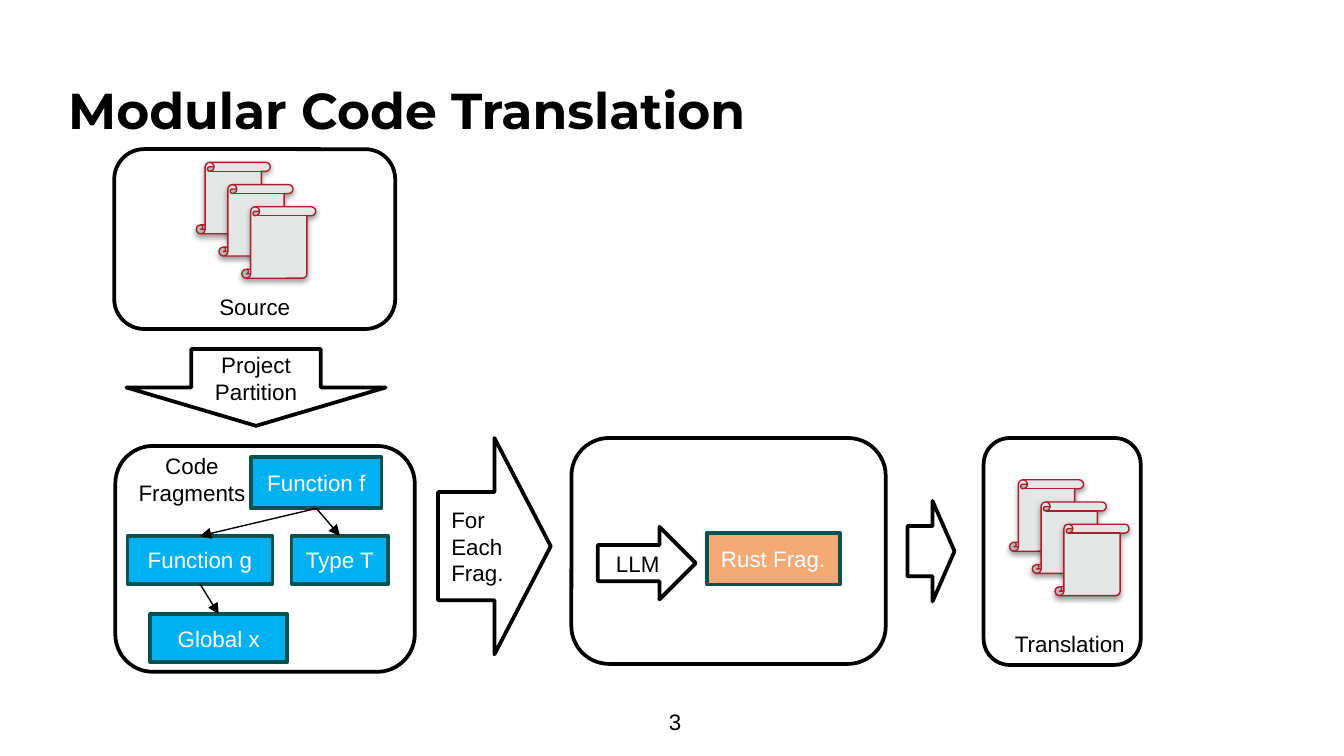
from lxml.etree import SubElement
from pptx import Presentation
from pptx.dml.color import RGBColor
from pptx.enum.shapes import MSO_CONNECTOR, MSO_SHAPE as Preset
from pptx.enum.text import MSO_ANCHOR as Anchor, PP_ALIGN as Align
from pptx.oxml.ns import qn
from pptx.util import Cm, Pt

BLACK, WHITE = "000000", "FFFFFF"
BLUE, ORANGE, TEAL = "00B0F0", "F5AA75", "00544F"
PAPER, RED = "E3E6E5", "AB1F2D"


def color(value):
    """Turn a hex string into a colour."""
    return RGBColor.from_string(value)


def write(shape, lines, ink=BLACK, align=Align.CENTER, anchor=Anchor.MIDDLE,
          size=12, font="Arial", bold=False):
    """Write one paragraph per line into a shape."""
    frame = shape.text_frame
    frame.word_wrap = True
    frame.vertical_anchor = anchor
    frame.text = "\n".join(lines)
    for paragraph in frame.paragraphs:
        paragraph.alignment = align
        paragraph.font.name = font
        paragraph.font.size = Pt(size)
        paragraph.font.bold = bold
        paragraph.font.color.rgb = color(ink)


def add_label(parent, box, text, anchor=Anchor.TOP, **style):
    """Add a text box and return it."""
    label = parent.shapes.add_textbox(*map(Cm, box))
    write(label, [text], anchor=anchor, **style)
    return label


def add_block(parent, preset, box, fill=WHITE, line=BLACK, width=2):
    """Add a filled, outlined preset shape."""
    shape = parent.shapes.add_shape(preset, *map(Cm, box))
    shape.shadow.inherit = False
    shape.fill.solid()
    shape.fill.fore_color.rgb = color(fill)
    shape.line.color.rgb = color(line)
    shape.line.width = Pt(width)
    return shape


def add_fragment(parent, box, text, fill=BLUE):
    """Add a rectangle that names a code fragment."""
    shape = add_block(parent, Preset.RECTANGLE, box, fill, TEAL)
    write(shape, [text], WHITE)
    return shape


def add_dependency(parent, user, used):
    """Draw an arrow from the bottom of one fragment to the top of another."""
    arrow = parent.shapes.add_connector(MSO_CONNECTOR.STRAIGHT, 0, 0, 0, 0)
    arrow.begin_connect(user, 2)
    arrow.end_connect(used, 0)
    arrow.line.color.rgb = color(BLACK)
    arrow.line.width = Pt(0.75)
    SubElement(arrow.line._get_or_add_ln(), qn("a:tailEnd"), type="triangle")
    SubElement(arrow._element.spPr, qn("a:effectLst"))


def add_shadow(shape):
    """Give a shape a soft shadow that falls straight down."""
    effects = shape._element.spPr.find(qn("a:effectLst"))
    shadow = SubElement(effects, qn("a:outerShdw"), blurRad=str(Pt(3.1)),
                        dist=str(Pt(1.6)), dir="5400000", rotWithShape="0")
    ink = SubElement(shadow, qn("a:srgbClr"), val=BLACK)
    SubElement(ink, qn("a:alpha"), val="38000")


def add_scrolls(slide, left, top):
    """Add a group of three overlapping scrolls."""
    group = slide.shapes.add_group_shape()
    for index in range(3):
        box = (left + 0.43 * index, top + 0.42 * index, 1.4, 1.35)
        add_shadow(add_block(group, Preset.VERTICAL_SCROLL, box, PAPER, RED, 0.75))


def add_fragment_graph(slide):
    """Add the panel with the fragments and their dependencies."""
    group = slide.shapes.add_group_shape()
    add_block(group, Preset.ROUNDED_RECTANGLE, (2.18, 8.43, 5.66, 4.27))
    add_label(group, (2.18, 8.43, 2.9, 1.27), "Code Fragments")
    function_f = add_fragment(group, (4.75, 8.64, 2.46, 0.97), "Function f")
    function_g = add_fragment(group, (2.41, 10.13, 2.74, 0.91), "Function g")
    type_t = add_fragment(group, (5.51, 10.13, 1.83, 0.91), "Type T")
    global_x = add_fragment(group, (2.84, 11.61, 2.59, 0.91), "Global x")
    for user, used in ((function_f, function_g), (function_f, type_t),
                       (function_g, global_x)):
        add_dependency(group, user, used)


def add_source(slide):
    """Add the source panel and the partition arrow below it."""
    add_block(slide, Preset.ROUNDED_RECTANGLE, (2.16, 2.82, 5.31, 3.4))
    add_scrolls(slide, 3.71, 3.07)
    add_label(slide, (3.48, 5.41, 2.67, 0.76), "Source")
    partition = add_block(slide, Preset.DOWN_ARROW, (2.39, 6.6, 4.9, 1.45))
    write(partition, ["Project", "Partition"])


def add_translator(slide):
    """Add the loop arrow and the panel that translates one fragment."""
    loop = add_block(slide, Preset.RIGHT_ARROW, (8.28, 8.28, 2.13, 4.09))
    write(loop, ["For", "Each", "Frag."], align=Align.LEFT)
    add_block(slide, Preset.ROUNDED_RECTANGLE, (10.8, 8.28, 5.94, 4.27))
    model = add_block(slide, Preset.RIGHT_ARROW, (11.3, 9.96, 1.85, 1.37))
    write(model, ["LLM"])
    add_fragment(slide, (13.36, 10.08, 2.51, 0.97), "Rust Frag.", ORANGE)


def add_translation(slide):
    """Add the result arrow and the translation panel."""
    result = add_block(slide, Preset.RIGHT_ARROW, (17.15, 9.47, 0.89, 1.9))
    result.adjustments[1] = 0.466
    add_block(slide, Preset.ROUNDED_RECTANGLE, (18.59, 8.28, 2.97, 4.29))
    add_scrolls(slide, 19.08, 9.07)
    add_label(slide, (18.85, 11.79, 2.74, 0.76), "Translation")


def main():
    """Build the slide and save it."""
    presentation = Presentation()
    presentation.slide_width, presentation.slide_height = Cm(25.4), Cm(14.29)
    slide = presentation.slides.add_slide(presentation.slide_layouts[6])
    title = add_label(slide, (1.04, 0.76, 23.34, 2.77), "Modular Code Translation",
                      Anchor.MIDDLE, align=Align.LEFT, size=27,
                      font="Montserrat", bold=True)
    title.text_frame.paragraphs[0].line_spacing = 0.9
    add_source(slide)
    add_fragment_graph(slide)
    add_translator(slide)
    add_translation(slide)
    add_label(slide, (12.01, 13.26, 1.5, 0.76), "3", Anchor.MIDDLE)
    presentation.save("out.pptx")


if __name__ == "__main__":
    main()
